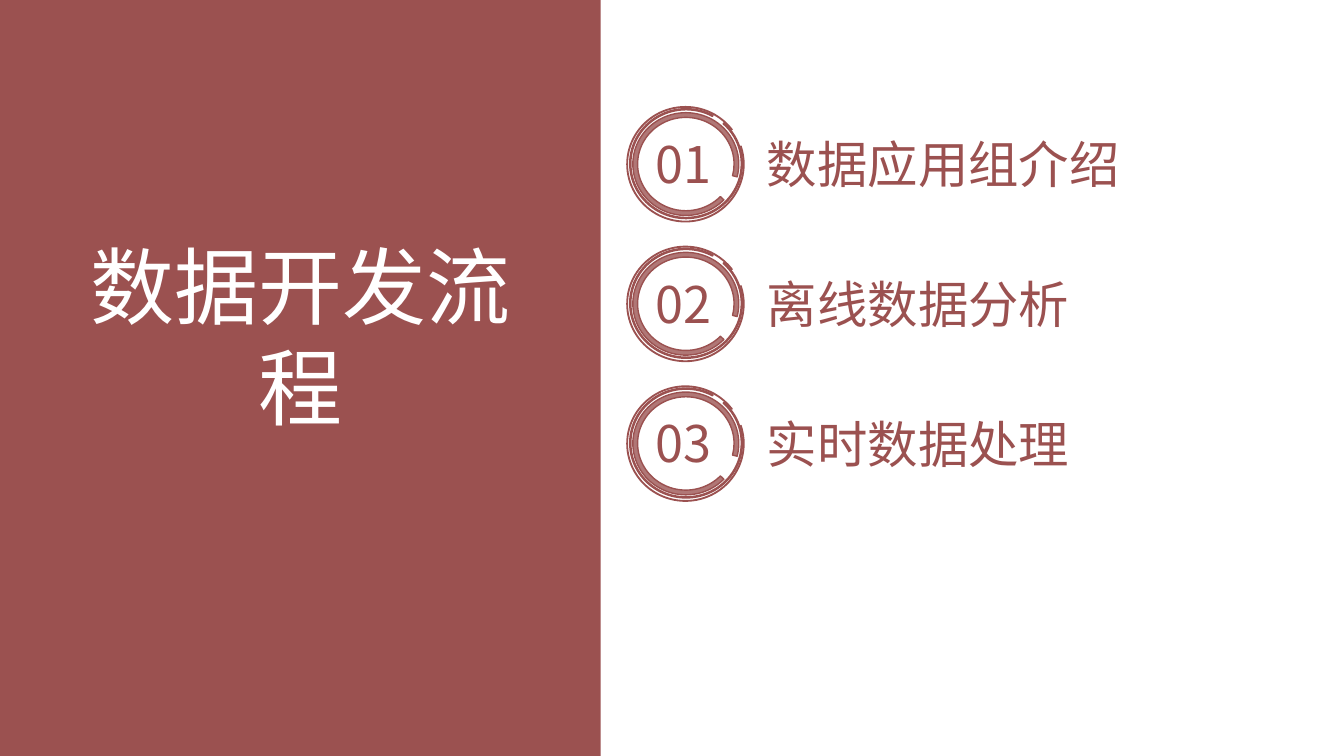
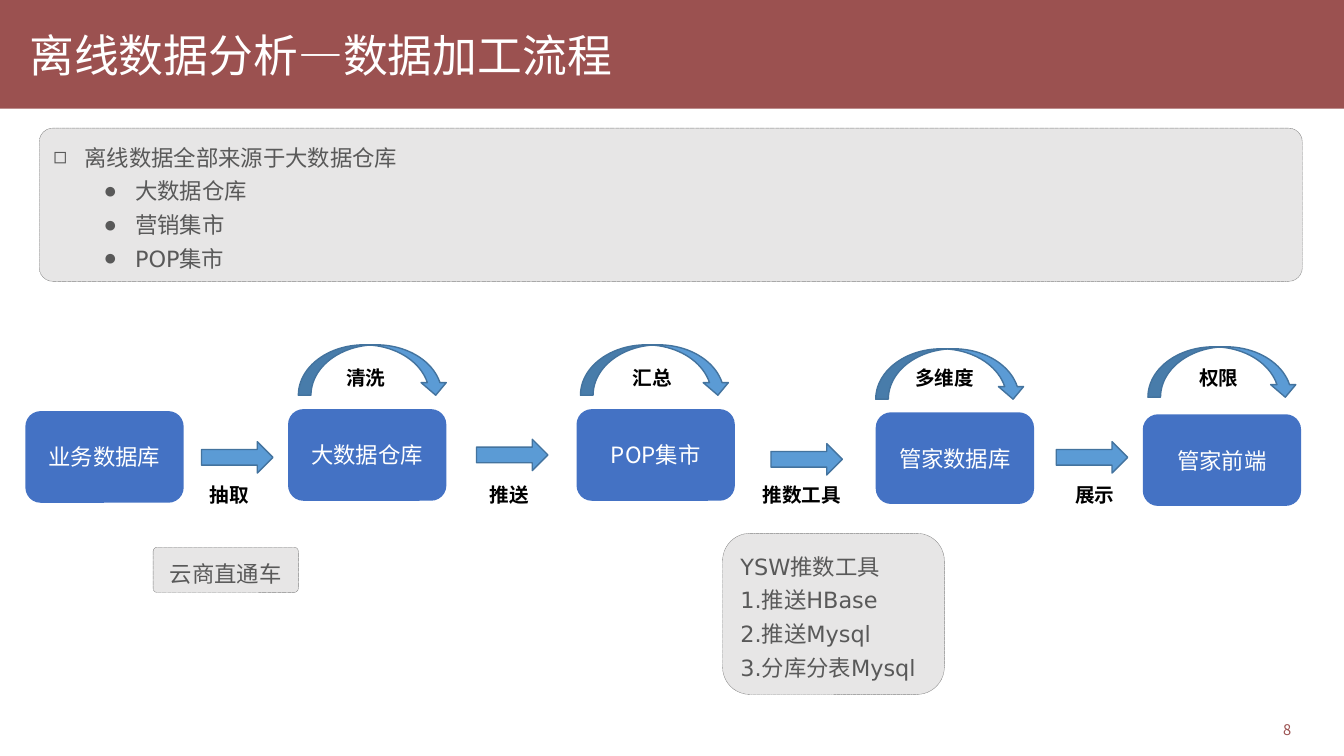
"""Build an agenda slide and a data processing flow slide."""
import pptx
import pptx.dml.color
import pptx.enum.dml
import pptx.enum.shapes
import pptx.enum.text
import pptx.oxml.ns
import pptx.util
from lxml import etree

Cm = pptx.util.Cm
Pt = pptx.util.Pt
qn = pptx.oxml.ns.qn
SHAPE = pptx.enum.shapes.MSO_SHAPE
ALIGN = pptx.enum.text.PP_ALIGN
ANCHOR = pptx.enum.text.MSO_ANCHOR

WIDTH, HEIGHT = 33.87, 19.05
RED, WHITE, BLACK = "9B5150", "FFFFFF", "000000"
BLUE, ARROW_BLUE, ARROW_EDGE = "4472C4", "5B9BD5", "43739E"
PANEL, PANEL_EDGE, PANEL_TEXT = "E7E6E6", "808080", "595959"
CJK, LATIN = "Noto Sans CJK SC", "DejaVu Sans"

AGENDA_TITLE = "数据开发流程"
AGENDA = ["数据应用组介绍", "离线数据分析", "实时数据处理"]
AGENDA_TOP, AGENDA_PITCH = 2.69, 3.52
RINGS = [
    ((15.95, 0.15, 2.67, 2.59), None, (25.936, 8.385, 0.046), RED, 78),
    ((15.87, 0.05, 2.84, 2.77), "flipH", (144.491, 136.217, 0.01), WHITE, 45),
    ((15.8, 0, 2.95, 2.9), "flipV", (22.02, 10.767, 0.004), WHITE, 62),
]

FLOW_TITLE = "离线数据分析—数据加工流程"
SOURCES = [
    (0, "离线数据全部来源于大数据仓库"),
    (1, "大数据仓库"),
    (1, "营销集市"),
    (1, "POP集市"),
]
BULLETS = [("◻", 0.79), ("●", 2.06)]
HANGING = 0.79
STEPS = [
    ("业务数据库", 0.64, 10.36),
    ("大数据仓库", 7.26, 10.31),
    ("POP集市", 14.53, 10.31),
    ("管家数据库", 22.07, 10.39),
    ("管家前端", 28.8, 10.44),
]
TRANSFERS = [
    ("抽取", 5.03, 5.08, 11.13),
    ("推送", 12.09, 12.01, 11.07),
    ("推数工具", 18.97, 19.43, 11.18),
    ("展示", 26.85, 26.62, 11.13),
]
LOOPS = [
    ("清洗", 8.48, 7.52, 8.69),
    ("汇总", 15.7, 14.63, 8.69),
    ("多维度", 22.81, 22.07, 8.79),
    ("权限", 29.97, 28.93, 8.74),
]
TRANSFER_LABEL_TOP, LOOP_LABEL_TOP = 12.04, 9.1
PUSH_TOOL = ["YSW推数工具", "1.推送HBase", "2.推送Mysql", "3.分库分表Mysql"]
EXTRACT_TOOL = ["云商直通车"]


def color(value):
    """Turn a hex string into a colour."""
    return pptx.dml.color.RGBColor.from_string(value)


def place(shape, left, top, width, height):
    """Move and size a shape in centimetres."""
    shape.left, shape.top = Cm(left), Cm(top)
    shape.width, shape.height = Cm(width), Cm(height)


def write(shape, lines, size, ink, font=CJK, align=ALIGN.LEFT,
          anchor=ANCHOR.TOP, spacing=1.0, bold=False):
    """Fill a shape with equally formatted paragraphs."""
    frame = shape.text_frame
    frame.text = "\n".join(lines)
    frame.word_wrap = True
    frame.auto_size = pptx.enum.text.MSO_AUTO_SIZE.NONE
    frame.vertical_anchor = anchor
    for paragraph in frame.paragraphs:
        paragraph.alignment = align
        paragraph.line_spacing = spacing
        paragraph.space_before = Pt(0)
        paragraph.font.size = Pt(size)
        paragraph.font.bold = bold
        paragraph.font.color.rgb = color(ink)
        paragraph.font.name = font
        properties = paragraph._p.pPr.find(qn("a:defRPr"))
        etree.SubElement(properties, qn("a:ea")).set("typeface", CJK)
    return frame


def add_shape(shapes, kind, box, fill, line=None, line_width=1):
    """Add a flat preset shape."""
    shape = shapes.add_shape(kind, *map(Cm, box))
    shape.shadow.inherit = False
    shape.fill.solid()
    shape.fill.fore_color.rgb = color(fill)
    if line:
        shape.line.color.rgb = color(line)
        shape.line.width = Pt(line_width)
    else:
        shape.line.fill.background()
    return shape


def add_text(shapes, box, text, size, ink, **style):
    """Add a one-line text box."""
    write(shapes.add_textbox(*map(Cm, box)), [text], size, ink, **style)


def add_panel(shapes, box, corner):
    """Add a grey rounded panel with a dashed edge."""
    panel = add_shape(shapes, SHAPE.ROUNDED_RECTANGLE, box, PANEL, PANEL_EDGE, 0.25)
    panel.line.dash_style = pptx.enum.dml.MSO_LINE.SQUARE_DOT
    panel.adjustments[0] = corner
    return panel


def start_slide(presentation, layout, band, title, title_box, size, align):
    """Add a slide with a red band behind its title."""
    slide = presentation.slides.add_slide(presentation.slide_layouts[layout])
    background = add_shape(slide.shapes, SHAPE.RECTANGLE, band, RED)
    slide.shapes._spTree.insert(2, background._element)
    place(slide.shapes.title, *title_box)
    write(slide.shapes.title, [title], size, WHITE, align=align, anchor=ANCHOR.MIDDLE)
    return slide


def add_ring(shapes, top, box, flip, adjustments, fill, opacity):
    """Add one translucent arc of a number badge."""
    left, offset, width, height = box
    ring = add_shape(shapes, SHAPE.BLOCK_ARC, (left, top + offset, width, height), fill, RED)
    for index, value in enumerate(adjustments):
        ring.adjustments[index] = value
    if flip:
        ring._element.spPr.xfrm.set(flip, "1")
    tint = ring._element.spPr.find(qn("a:solidFill"))[0]
    etree.SubElement(tint, qn("a:alpha")).set("val", str(opacity * 1000))


def build_agenda(presentation):
    """Build the agenda slide."""
    slide = start_slide(presentation, 5, (0, 0, 15.14, HEIGHT), AGENDA_TITLE,
                        (1.7, 7.34, 11.73, 2.24), 60, ALIGN.CENTER)
    for index, item in enumerate(AGENDA):
        top = AGENDA_TOP + index * AGENDA_PITCH
        group = slide.shapes.add_group_shape()
        for ring in RINGS:
            add_ring(group.shapes, top, *ring)
        add_text(group.shapes, (16.28, top + 0.54, 2.1, 1.8), f"{index + 1:02}", 36, RED)
        add_text(group.shapes, (19.08, top + 0.31, 14, 2.24), item, 36, RED,
                 anchor=ANCHOR.MIDDLE)


def add_sources(slide):
    """Add the bulleted list of data sources on its panel."""
    panel = add_panel(slide.shapes, (0.99, 3.23, 31.83, 3.86), 0.089)
    slide.shapes._spTree.insert(3, panel._element)
    body = slide.placeholders[1]
    place(body, 1.09, 3.33, 31.6, 3.66)
    frame = write(body, [text for _, text in SOURCES], 16, PANEL_TEXT, LATIN, spacing=1.25)
    for paragraph, (level, _) in zip(frame.paragraphs, SOURCES):
        mark, margin = BULLETS[level]
        paragraph.level = level
        properties = paragraph._p.pPr
        properties.set("marL", str(Cm(margin)))
        properties.set("indent", str(-Cm(HANGING)))
        bullet = etree.Element(qn("a:buChar"))
        bullet.set("char", mark)
        properties.find(qn("a:defRPr")).addprevious(bullet)


def build_flow(presentation):
    """Build the data processing flow slide."""
    slide = start_slide(presentation, 1, (0, 0, WIDTH, 2.74), FLOW_TITLE,
                        (0, 0, WIDTH, 2.74), 32, ALIGN.LEFT)
    slide.shapes.title.text_frame.margin_left = Cm(0.74)
    add_sources(slide)
    shapes = slide.shapes
    for name, left, top in STEPS:
        step = add_shape(shapes, SHAPE.ROUNDED_RECTANGLE, (left, top, 3.99, 2.31), BLUE)
        write(step, [name], 16, WHITE, align=ALIGN.CENTER, anchor=ANCHOR.MIDDLE)
    for moves, kind, size, label_top in (
        (TRANSFERS, SHAPE.RIGHT_ARROW, (1.8, 0.79), TRANSFER_LABEL_TOP),
        (LOOPS, SHAPE.CURVED_DOWN_ARROW, (3.78, 1.27), LOOP_LABEL_TOP),
    ):
        for label, label_left, left, top in moves:
            add_shape(shapes, kind, (left, top, *size), ARROW_BLUE, ARROW_EDGE)
            add_text(shapes, (label_left, label_top, 3.1, 0.86), label, 14, BLACK,
                     font=LATIN, bold=True)
    push_tool = add_panel(shapes, (18.21, 13.44, 5.59, 4.06), 0.17)
    write(push_tool, PUSH_TOOL, 16, PANEL_TEXT, LATIN, spacing=1.25).margin_right = 0
    extract_tool = add_panel(shapes, (3.86, 13.79, 3.66, 1.14), 0.089)
    write(extract_tool, EXTRACT_TOOL, 16, PANEL_TEXT, LATIN, ALIGN.CENTER, spacing=1.25)
    add_text(shapes, (28.45, 18.03, 4.34, 0.74), "8", 10.5, RED, align=ALIGN.RIGHT)


def main():
    """Create and save the presentation."""
    presentation = pptx.Presentation()
    presentation.slide_width, presentation.slide_height = Cm(WIDTH), Cm(HEIGHT)
    build_agenda(presentation)
    build_flow(presentation)
    presentation.save("out.pptx")


if __name__ == "__main__":
    main()
